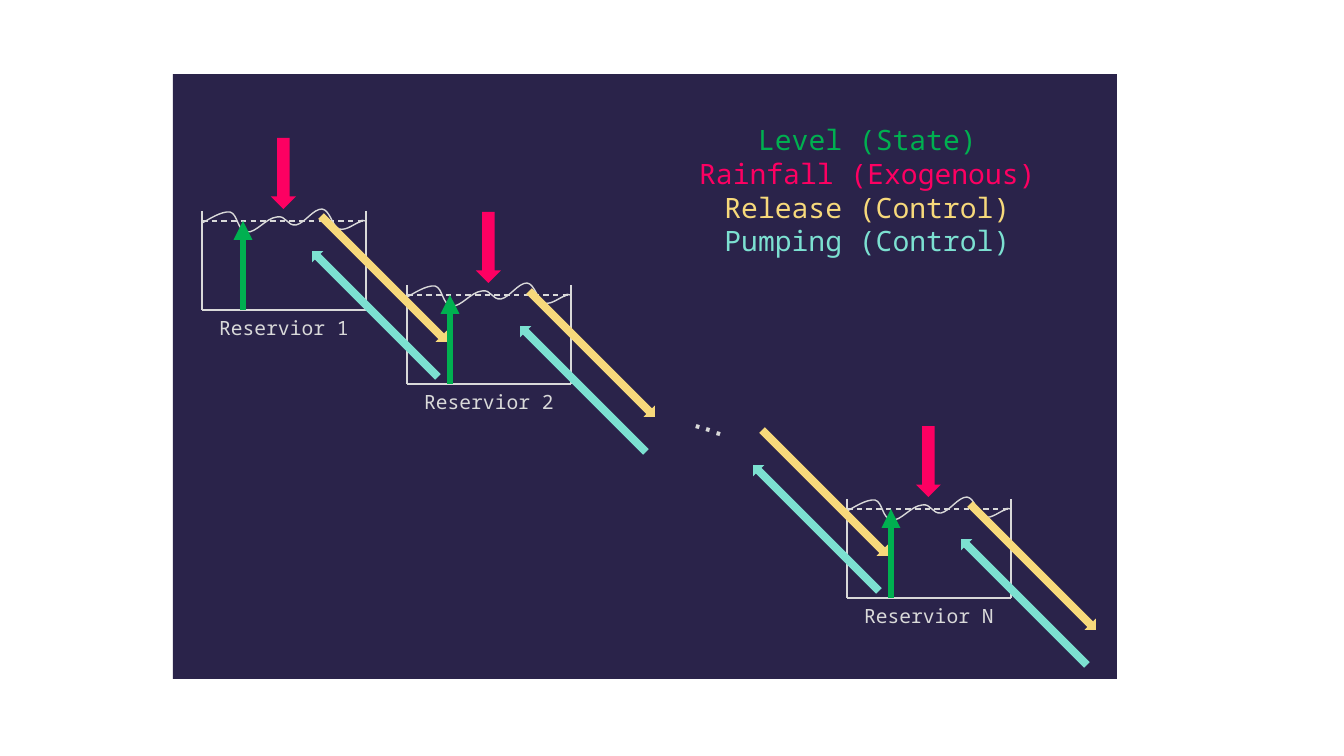
from lxml import etree
from pptx import Presentation
from pptx import util as u
from pptx.dml import color
from pptx.enum import dml, shapes, text
from pptx.oxml import ns

EMU_PER_PX = 914400 / 100.8
PALE, GREEN, PINK = "D9D9D9", "00B050", "FD0062"
YELLOW, TEAL, NAVY = "F7D97B", "7CE0D1", "2A234A"
MONO = "Noto Sans Mono"
TANK_W, TANK_H, WATER = 164, 99, 10
TANKS = [("Reservior 1", 202, 211, 41), ("Reservior 2", 407, 285, 43),
         ("Reservior N", 847, 499, 44)]
FLOWS = [(295, 271), (503, 346), (736, 485), (944, 559)]
LEGEND = [("Level (State)", GREEN), ("Rainfall (Exogenous)", PINK),
          ("Release (Control)", YELLOW), ("Pumping (Control)", TEAL)]
WAVE = [(0, 12), (6, 9), (19, 0), (28, 1), (36, 3), (35, 20), (45, 21),
        (54, 22), (64, 7), (75, 6), (84, 4), (85, 15), (94, 14),
        (103, 12), (111, -2), (120, -2), (128, -1), (130, 15), (137, 18),
        (145, 20), (153, 12), (158, 11), (163, 9), (156, 9), (164, 10)]


def px(*values):
    """Turn whole pixels into EMU lengths."""
    return [u.Emu(round(v * EMU_PER_PX)) for v in values]


def rgb(value):
    """Turn a hex string into a colour."""
    return color.RGBColor.from_string(value)


def apply(obj, formats):
    """Set every attribute named in a dict of format values."""
    for name, value in formats.items():
        setattr(obj, name, value)


def set_line(sp, width, **formats):
    """Give a shape or connector a pale solid line, then other line formats."""
    sp.line.color.rgb = rgb(PALE)
    apply(sp.line, {"width": u.Pt(width), **formats})


def add_block(grp, kind, box, fill, rotation=0):
    """Add a filled preset shape without an outline."""
    sp = grp.shapes.add_shape(kind, *px(*box))
    sp.fill.solid()
    sp.fill.fore_color.rgb = rgb(fill)
    sp.line.fill.background()
    sp.shadow.inherit = False
    sp.rotation = rotation
    return sp


def add_line(grp, x1, y1, x2, y2, width, **formats):
    """Add a straight pale connector without a shadow."""
    sp = grp.shapes.add_connector(shapes.MSO_CONNECTOR.STRAIGHT, *px(x1, y1, x2, y2))
    set_line(sp, width, **formats)
    etree.SubElement(sp._element.spPr, ns.qn("a:effectLst"))
    return sp


def add_wave(grp, x, y):
    """Add the curved water surface as one cubic Bezier path."""
    points = [(x + dx, y + dy) for dx, dy in WAVE]
    builder = grp.shapes.build_freeform(*points[0], scale=EMU_PER_PX)
    builder.add_line_segments(points[1:], close=False)
    sp = builder.convert_to_shape()
    sp.fill.background()
    sp.shadow.inherit = False
    set_line(sp, 1)
    path = next(sp._element.iter(ns.qn("a:path")))
    segments = path.findall(ns.qn("a:lnTo"))
    for i in range(0, len(segments), 3):
        curve = etree.SubElement(path, ns.qn("a:cubicBezTo"))
        for segment in segments[i:i + 3]:
            curve.append(segment[0])
            path.remove(segment)


def add_tank(grp, x, y):
    """Add the walls, floor, wave and dashed mean level of a reservoir."""
    right, floor, level = x + TANK_W, y + TANK_H, y + WATER
    for ends in [(x, y, x, floor), (x, floor, right, floor), (right, y, right, floor)]:
        add_line(grp, *ends, 1.5)
    add_wave(grp, x, y)
    add_line(grp, x, level, right, level, 1, dash_style=dml.MSO_LINE.DASH)


def add_level(grp, x, y):
    """Add the green arrow from the floor up to the water level."""
    sp = add_line(grp, x, y + TANK_H, x, y + WATER, 4.5)
    sp.line.color.rgb = rgb(GREEN)
    etree.SubElement(sp.line._get_or_add_ln(), ns.qn("a:tailEnd"), type="triangle")


def add_text(grp, box, lines, size, font=MONO, rotation=0, **formats):
    """Add centred lines of text, each with its own colour."""
    sp = grp.shapes.add_textbox(*px(*box))
    sp.rotation = rotation
    tf = sp.text_frame
    apply(tf, {"word_wrap": True, "auto_size": text.MSO_AUTO_SIZE.SHAPE_TO_FIT_TEXT,
               **formats})
    for i, (words, hue) in enumerate(lines):
        p = tf.add_paragraph() if i else tf.paragraphs[0]
        p.alignment = text.PP_ALIGN.CENTER
        r = p.add_run()
        r.text = words
        apply(r.font, {"name": font, "size": u.Pt(size)})
        r.font.color.rgb = rgb(hue)


def main():
    """Build the reservoir cascade slide."""
    prs = Presentation()
    prs.slide_width, prs.slide_height = px(1344, 756)
    grp = prs.slides.add_slide(prs.slide_layouts[6]).shapes.add_group_shape()
    kinds = shapes.MSO_SHAPE
    add_block(grp, kinds.RECTANGLE, (173, 74, 944, 605), NAVY)
    for _, x, y, _ in TANKS:
        add_tank(grp, x, y)
        add_block(grp, kinds.DOWN_ARROW, (x + 69, y - 73, 25, 71), PINK)
    for x, y in FLOWS:
        add_block(grp, kinds.LEFT_ARROW, (x - 9, y + 35, 178, 16), TEAL, 45)
        add_block(grp, kinds.RIGHT_ARROW, (x, y, 178, 16), YELLOW, 45)
    for name, x, y, gauge in TANKS:
        add_level(grp, x + gauge, y)
        add_text(grp, (x - 10, y + 100, 184, 34), [(name, PALE)], 14)
    add_text(grp, (670, 389, 84, 57), [("...", PALE)], 28, "Arial", 17,
             vertical_anchor=text.MSO_ANCHOR.MIDDLE)
    add_text(grp, (662, 118, 411, 146), LEGEND, 20)
    prs.save("out.pptx")


main()
